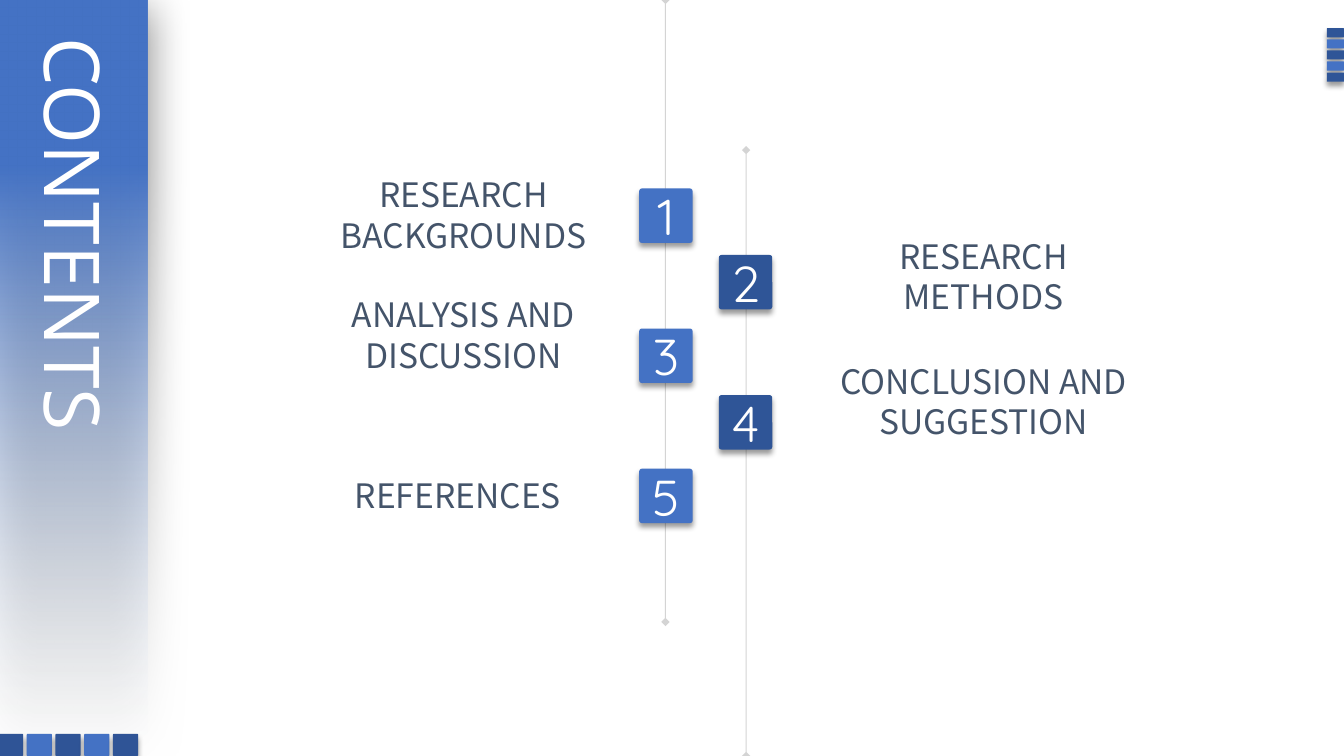
from lxml import etree
from pptx import Presentation
from pptx.dml.color import RGBColor
from pptx.enum.shapes import MSO_CONNECTOR, MSO_SHAPE
from pptx.enum.text import MSO_ANCHOR, MSO_AUTO_SIZE, PP_ALIGN
from pptx.oxml import parse_xml
from pptx.oxml.ns import nsdecls, qn
from pptx.util import Inches, Pt

STRAIGHT = MSO_CONNECTOR.STRAIGHT
RECTANGLE, ROUNDED = MSO_SHAPE.RECTANGLE, MSO_SHAPE.ROUNDED_RECTANGLE
TOP, MIDDLE = MSO_ANCHOR.TOP, MSO_ANCHOR.MIDDLE
LEFT, CENTER = PP_ALIGN.LEFT, PP_ALIGN.CENTER
GROW = MSO_AUTO_SIZE.SHAPE_TO_FIT_TEXT

COLORS = {
    "blue": "4472C4",
    "navy": "2F5597",
    "footer_navy": "2F5496",
    "pale": "F6F9FC",
    "rail": "7F7F7F",
    "text": "44546A",
    "white": "FFFFFF",
    "shadow": "000000",
}


def cast_shadow(shape, opacity, blur, distance, angle):
    """Give the shape an outer shadow; opacity in percent, lengths in points."""
    shape.shadow.inherit = False
    effects = shape._element.spPr.find(qn("a:effectLst"))
    effects.append(parse_xml(
        f'<a:outerShdw {nsdecls("a")} blurRad="{Pt(blur)}" dist="{Pt(distance)}" '
        f'dir="{angle * 60000}" algn="t" rotWithShape="0">'
        f'<a:srgbClr val="{COLORS["shadow"]}"><a:alpha val="{opacity * 1000}"/></a:srgbClr>'
        f'</a:outerShdw>'))


def add_tile(shapes, left, top, width, height, color):
    tile = shapes.add_shape(ROUNDED, Inches(left), Inches(top), Inches(width), Inches(height))
    tile.adjustments[0] = 0.05
    tile.fill.solid()
    tile.fill.fore_color.rgb = RGBColor.from_string(COLORS[color])
    tile.line.fill.background()
    cast_shadow(tile, 40, 4, 3, 90)
    return tile


prs = Presentation()
prs.slide_width, prs.slide_height = Inches(13.33), Inches(7.5)
slide = prs.slides.add_slide(prs.slide_layouts[5])

# Vertical rails behind the numbers
for x, start, end in [(7.4, 1.49, 7.5), (6.6, 0, 6.17)]:
    rail = slide.shapes.add_connector(STRAIGHT, Inches(x), Inches(start), Inches(x), Inches(end))
    rail.line.width = Pt(0.75)
    rail.line.color.rgb = RGBColor.from_string(COLORS["rail"])
    rail_props = rail._element.spPr
    outline = rail_props.find(qn("a:ln"))
    etree.SubElement(outline.find(".//" + qn("a:srgbClr")), qn("a:alpha"), val="33000")
    for line_end in ("a:headEnd", "a:tailEnd"):
        etree.SubElement(outline, qn(line_end), type="diamond")
    etree.SubElement(rail_props, qn("a:effectLst"))

# Fading band with the title on it
band = slide.shapes.add_shape(RECTANGLE, Inches(-3), Inches(2.99), Inches(7.46), Inches(1.47))
band.rotation = 90
band.line.fill.background()
band._element.spPr.find(qn("a:prstGeom")).addnext(parse_xml(
    f'<a:gradFill {nsdecls("a")} rotWithShape="1"><a:gsLst>'
    f'<a:gs pos="0"><a:srgbClr val="{COLORS["pale"]}"><a:alpha val="0"/></a:srgbClr></a:gs>'
    f'<a:gs pos="78000"><a:srgbClr val="{COLORS["blue"]}"/></a:gs>'
    f'<a:gs pos="100000"><a:srgbClr val="{COLORS["blue"]}"/></a:gs>'
    f'</a:gsLst><a:lin ang="10800000" scaled="0"/></a:gradFill>'))
cast_shadow(band, 50, 31, 6, 97)

title = slide.shapes.title
band._element.addnext(title._element)
title.left, title.top = Inches(-1.78), Inches(2.18)
title.width, title.height = Inches(4.94), Inches(1.13)
title.rotation = 90
title.text_frame.vertical_anchor = TOP
title.text_frame.auto_size = GROW
heading = title.text_frame.paragraphs[0]
heading.alignment = LEFT
heading_run = heading.add_run()
heading_run.text = "CONTENTS"
heading_run.font.size = Pt(55)
heading_run.font.name = "Open Sans"
heading_run.font.color.rgb = RGBColor.from_string(COLORS["white"])

# Numbered sections, alternating between the two rails
sections = [
    ("RESEARCH BACKGROUNDS", 3.17, 1.68, 2.85, 0.91, CENTER),
    ("RESEARCH METHODS", 8.39, 2.29, 2.73, 0.91, CENTER),
    ("ANALYSIS AND DISCUSSION", 3.32, 2.87, 2.55, 1.31, CENTER),
    ("CONCLUSION AND SUGGESTION", 8.23, 3.53, 3.05, 1.31, CENTER),
    ("REFERENCES", 3.42, 4.66, 2.33, 0.5, LEFT),
]
for index, (name, left, top, width, height, alignment) in enumerate(sections):
    row, side = divmod(index, 2)
    number = add_tile(slide.shapes, 6.34 + 0.79 * side, 1.87 + 1.39 * row + 0.66 * side,
                      0.53, 0.54, ("blue", "navy")[side])
    number.text_frame.vertical_anchor = MIDDLE
    digit = number.text_frame.paragraphs[0]
    digit.alignment = CENTER
    digit_run = digit.add_run()
    digit_run.text = str(index + 1)
    digit_run.font.size = Pt(36)
    digit_run.font.name = "Quicksand"
    digit_run.font.color.rgb = RGBColor.from_string(COLORS["white"])

    label = slide.shapes.add_textbox(Inches(left), Inches(top), Inches(width), Inches(height))
    label.text_frame.word_wrap = True
    label.text_frame.auto_size = GROW
    label_line = label.text_frame.paragraphs[0]
    label_line.alignment = alignment
    label_run = label_line.add_run()
    label_run.text = name
    label_run.font.size = Pt(24)
    label_run.font.name = "Noto Sans CJK SC"
    label_run.font.color.rgb = RGBColor.from_string(COLORS["text"])

# Decorative tiles: a row at bottom left, a stack at top right
footer_row = slide.shapes.add_group_shape()
corner_stack = slide.shapes.add_group_shape()
for index in range(5):
    add_tile(footer_row.shapes, -0.02 + 1.14 * index / 4, 7.28, 0.25, 0.22,
             ("footer_navy", "blue")[index % 2])
    corner_tile = add_tile(corner_stack.shapes, 13.2, 0.24 + 0.11 * index, 0.09, 0.17,
                           ("navy", "blue")[index % 2])
    corner_tile.rotation = 90

prs.save("out.pptx")
